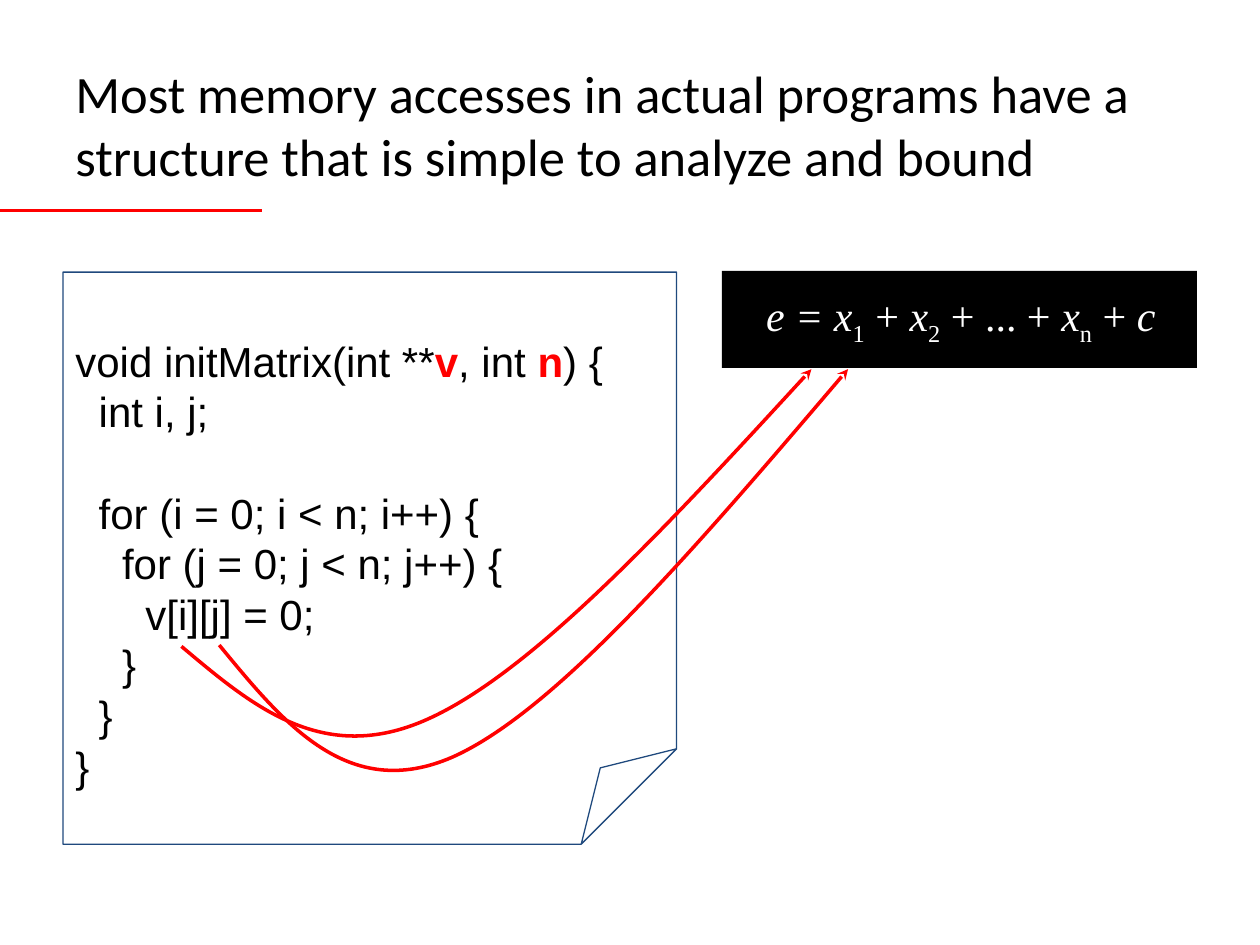
from pptx import Presentation
from pptx.dml.color import RGBColor
from pptx.enum.shapes import MSO_CONNECTOR, MSO_SHAPE
from pptx.enum.text import MSO_ANCHOR, PP_ALIGN
from pptx.oxml.ns import qn
from pptx.util import Inches, Pt
from lxml.etree import SubElement

BLACK = RGBColor(0x00, 0x00, 0x00)
WHITE = RGBColor(0xFF, 0xFF, 0xFF)
RED = RGBColor(0xFF, 0x00, 0x00)
NAVY = RGBColor(0x1F, 0x49, 0x7D)


def add_text(paragraph, text, font="Arial", size=24, color=BLACK, bold=False, italic=False, baseline=0):
    run = paragraph.add_run()
    run.text = text
    run.font.name = font
    run.font.size = Pt(size)
    run.font.color.rgb = color
    run.font.bold = bold
    run.font.italic = italic
    if baseline:
        run.font._element.set("baseline", str(baseline * 1000))


def set_frame(shape, left, top, right, bottom, anchor=MSO_ANCHOR.TOP, wrap=True):
    frame = shape.text_frame
    frame.margin_left, frame.margin_top = Inches(left), Inches(top)
    frame.margin_right, frame.margin_bottom = Inches(right), Inches(bottom)
    frame.vertical_anchor = anchor
    frame.word_wrap = wrap
    frame.paragraphs[0].alignment = PP_ALIGN.LEFT
    return frame


deck = Presentation()
deck.slide_width, deck.slide_height = Inches(10), Inches(7.5)
COL, ROW = deck.slide_width / 100, deck.slide_height / 100
shapes = deck.slides.add_slide(deck.slide_layouts[6]).shapes

title = shapes.add_textbox(int(5 * COL), int(4 * ROW), int(90 * COL), int(18.27 * ROW))
heading = set_frame(title, 0.1, 0.1, 0.1, 0.1, anchor=MSO_ANCHOR.MIDDLE)
add_text(heading.paragraphs[0],
         "Most memory accesses in actual programs have a structure that is simple to analyze and bound",
         font="Calibri", size=30)

title_rule = shapes.add_connector(
    MSO_CONNECTOR.STRAIGHT, 0, int(22.27 * ROW), int(20.8 * COL), int(22.27 * ROW))
title_rule.line.color.rgb = RED
title_rule.line.width = Pt(2)
SubElement(title_rule._element.spPr, qn("a:effectLst"))

code_page = shapes.add_shape(
    MSO_SHAPE.FOLDED_CORNER, int(5 * COL), int(28.8 * ROW), int(48.7 * COL), int(60.53 * ROW))
code_page.shadow.inherit = False
code_page.fill.background()
code_page.line.color.rgb = NAVY
code_page.line.width = Pt(0.75)

LINE_PITCH = 28.9
INDENT = Pt(13.34)
code_lines = [
    (0, 0, [("void initMatrix(int **", False), ("v", True), (", int ", False), ("n", True), (") {", False)]),
    (1, 0, [("int i, j;", False)]),
    (1, 1, [("for (i = 0; i < n; i++) {", False)]),
    (2, 0, [("for (j = 0; j < n; j++) {", False)]),
    (3, 0, [("v[i][j] = 0;", False)]),
    (2, 0, [("}", False)]),
    (1, 0, [("}", False)]),
    (0, 0, [("}", False)]),
]
code = set_frame(code_page, 0.1, 0.5, 0.1, 0.1)
for number, (depth, gap_lines, parts) in enumerate(code_lines):
    code_line = code.add_paragraph() if number else code.paragraphs[0]
    code_line.alignment = PP_ALIGN.LEFT
    code_line.line_spacing = Pt(LINE_PITCH)
    code_line.space_before = Pt(gap_lines * LINE_PITCH)
    code_line._p.get_or_add_pPr().set("marL", str(depth * INDENT))
    for text, highlighted in parts:
        add_text(code_line, text, color=RED if highlighted else BLACK, bold=highlighted)

equation_box = shapes.add_shape(
    MSO_SHAPE.RECTANGLE, int(57.3 * COL), int(28.67 * ROW), int(37.7 * COL), int(10.27 * ROW))
equation_box.shadow.inherit = False
equation_box.fill.solid()
equation_box.fill.fore_color.rgb = BLACK
equation_box.line.fill.background()
equation = set_frame(equation_box, 0.35, 0.15, 0.12, 0.2, wrap=False)
for text, italic, baseline in [
    ("e = x", True, 0), ("1", False, -25), (" + ", False, 0),
    ("x", True, 0), ("2", False, -25), (" + ... + ", False, 0),
    ("x", True, 0), ("n", False, -25), (" + ", False, 0), ("c", True, 0),
]:
    add_text(equation.paragraphs[0], text, font="Times New Roman", color=WHITE,
             italic=italic, baseline=baseline)

index_curves = [
    [(14.4, 68.4), (20, 74.67), (25.6, 81.07), (33.9, 76.13),
     (42.2, 71.2), (53.3, 55.2), (64.4, 39.07)],
    [(17.4, 68.27), (22.5, 76.53), (27.6, 84.93), (35.9, 80.13),
     (44.2, 75.2), (55.8, 57.07), (67.3, 39.07)],
]
for curve in index_curves:
    start, *controls = [(int(x * COL), int(y * ROW)) for x, y in curve]
    builder = shapes.build_freeform(*start)
    builder.add_line_segments(controls, close=False)
    arrow = builder.convert_to_shape()
    arrow.shadow.inherit = False
    arrow.fill.background()
    arrow.line.color.rgb = RED
    arrow.line.width = Pt(2)
    outline = arrow._element.xpath(".//a:path")[0]
    segments = outline.findall(qn("a:lnTo"))
    for first in range(0, len(segments), 3):
        bezier = SubElement(outline, qn("a:cubicBezTo"))
        for segment in segments[first:first + 3]:
            bezier.append(segment[0])
            outline.remove(segment)
    SubElement(arrow._element.xpath(".//a:ln")[0], qn("a:tailEnd"), type="stealth")

deck.save("out.pptx")
